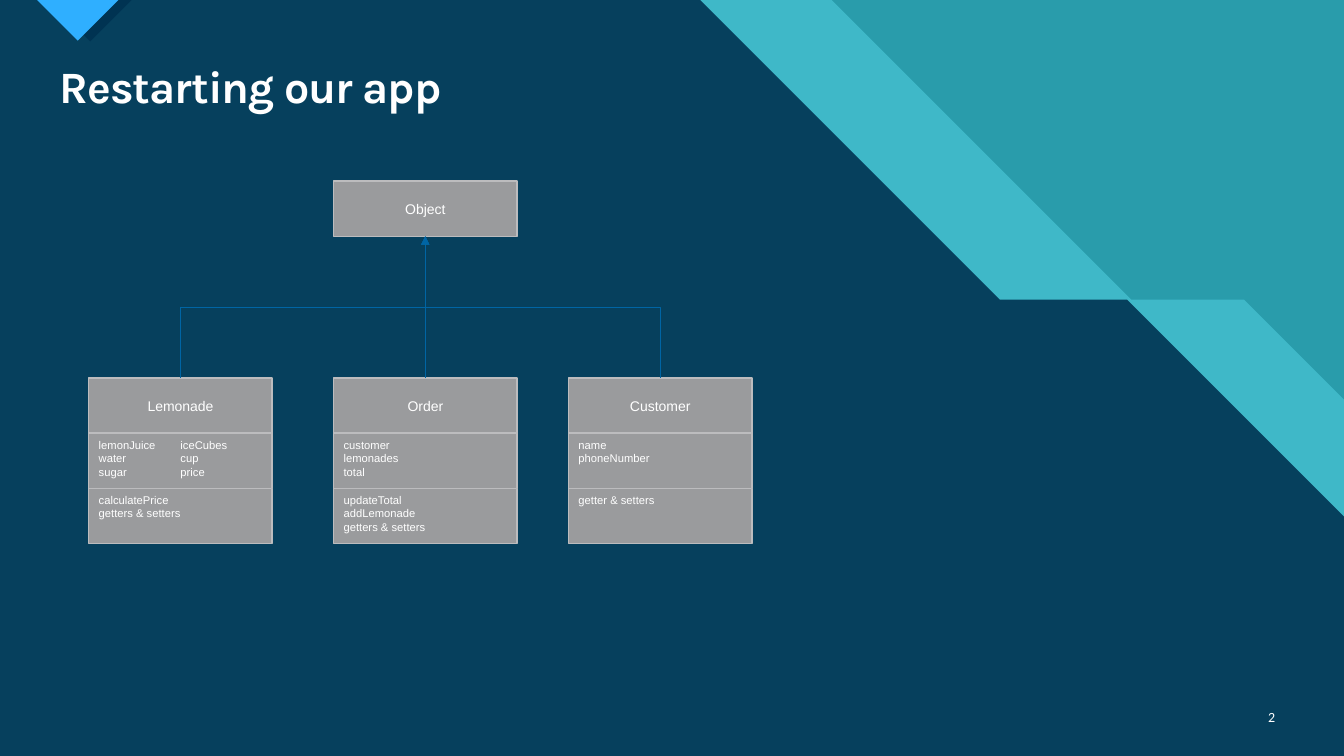
import pptx
import pptx.dml.color
import pptx.enum.dml
import pptx.enum.shapes
import pptx.enum.text
import pptx.oxml
import pptx.oxml.ns
import pptx.util

Pt = pptx.util.Pt
RGBColor = pptx.dml.color.RGBColor
ALIGN = pptx.enum.text.PP_ALIGN
ANCHOR = pptx.enum.text.MSO_ANCHOR

WHITE = RGBColor(0xFF, 0xFF, 0xFF)
TEAL = RGBColor(0x29, 0x9C, 0xAB)
LIGHT_TEAL = RGBColor(0x47, 0xC3, 0xD3)
NAVY = RGBColor(0x00, 0x33, 0x52)
SKY = RGBColor(0x2F, 0xAF, 0xFF)
GREY = RGBColor(0x9A, 0x9B, 0x9D)
LIGHT_GREY = RGBColor(0xBC, 0xBC, 0xBE)
BLUE = RGBColor(0x00, 0x65, 0xA4)

WIDTH, HEIGHT = 960, 540
BOX_WIDTH, BOX_HEIGHT = 131, 39.4
PARENT_TOP, CHILD_TOP = 129.4, 270

# Fill colour, opacity in percent, outline points
BACKDROP = [
    (LIGHT_TEAL, 74, [(0, 0), (594, 0), (808, 214), (888.5, 214),
                      (WIDTH, 285.5), (WIDTH, HEIGHT), (0, HEIGHT)]),
    (NAVY, 90, [(0, 0), (500, 0), (714, 214), (805, 214),
                (WIDTH, 369), (WIDTH, HEIGHT), (0, HEIGHT)]),
    (NAVY, 100, [(94, 0), (64.5, 29.5), (35, 0)]),
    (SKY, 100, [(26.5, 0), (55.5, 29), (84.5, 0)]),
]

# Left edge, name, fields, methods, columns of the field list
PARENT_LEFT = 238.3
CLASSES = [
    (63.4, "Lemonade", ["lemonJuice", "water", "sugar", "iceCubes", "cup", "price"],
     ["calculatePrice", "getters & setters"], 2),
    (PARENT_LEFT, "Order", ["customer", "lemonades", "total"],
     ["updateTotal", "addLemonade", "getters & setters"], 1),
    (406.1, "Customer", ["name", "phoneNumber"], ["getter & setters"], 1),
]


def apply_format(target, values):
    for name, value in values.items():
        setattr(target, name, value)


def write_text(shape, lines, font, align=ALIGN.LEFT, anchor=ANCHOR.TOP):
    frame = shape.text_frame
    apply_format(frame, {"word_wrap": True, "vertical_anchor": anchor})
    frame.text = "\n".join(lines)
    for paragraph in frame.paragraphs:
        paragraph.alignment = align
        run_font = paragraph.runs[0].font
        apply_format(run_font, {key: value for key, value in font.items() if key != "color"})
        run_font.color.rgb = font["color"]


def add_backdrop_shape(slide, color, opacity, points):
    outline = [(Pt(x), Pt(y)) for x, y in points]
    builder = slide.shapes.build_freeform(*outline[0])
    builder.add_line_segments(outline[1:], close=True)
    shape = builder.convert_to_shape()
    shape.shadow.inherit = False
    shape.line.fill.background()
    shape.fill.solid()
    shape.fill.fore_color.rgb = color
    if opacity < 100:
        color_element = shape.element.spPr.find(".//" + pptx.oxml.ns.qn("a:srgbClr"))
        alpha = pptx.oxml.parse_xml(
            f'<a:alpha {pptx.oxml.ns.nsdecls("a")} val="{opacity * 1000}"/>')
        color_element.append(alpha)


def add_title(slide, text):
    title = slide.shapes.title
    apply_format(title, {"left": Pt(35.3), "top": Pt(42.5),
                         "width": Pt(502.5), "height": Pt(42.5)})
    write_text(title, [text],
               {"name": "Karla", "size": Pt(32), "bold": True, "color": WHITE},
               anchor=ANCHOR.MIDDLE)
    title.text_frame.auto_size = pptx.enum.text.MSO_AUTO_SIZE.SHAPE_TO_FIT_TEXT
    paragraph = title.text_frame.paragraphs[0]
    paragraph.line_spacing = 0.9
    paragraph.runs[0].font._element.set("spc", "-70")


def add_slide_number(slide, number):
    box = slide.shapes.add_textbox(Pt(886.3), Pt(497.5), Pt(31.7), Pt(28.8))
    write_text(box, [number], {"name": "Calibri", "size": Pt(10), "color": WHITE},
               ALIGN.RIGHT, ANCHOR.MIDDLE)


def add_box(slide, left, top, lines, size=8, columns=1, **placing):
    box = slide.shapes.add_shape(pptx.enum.shapes.MSO_SHAPE.RECTANGLE,
                                 Pt(left), Pt(top), Pt(BOX_WIDTH), Pt(BOX_HEIGHT))
    box.shadow.inherit = False
    box.fill.solid()
    box.fill.fore_color.rgb = GREY
    box.line.color.rgb = LIGHT_GREY
    box.line.width = Pt(1)
    write_text(box, lines, {"name": "Arial", "size": Pt(size), "color": WHITE}, **placing)
    if columns > 1:
        box.text_frame._txBody.bodyPr.set("numCol", str(columns))


def add_name_box(slide, left, top, name):
    add_box(slide, left, top, [name], size=10, align=ALIGN.CENTER, anchor=ANCHOR.MIDDLE)


def add_class(slide, left, name, fields, methods, columns):
    add_name_box(slide, left, CHILD_TOP, name)
    add_box(slide, left, CHILD_TOP + BOX_HEIGHT, fields, columns=columns)
    add_box(slide, left, CHILD_TOP + 2 * BOX_HEIGHT, methods)


def add_inheritance_arrow(slide, child_left):
    """Elbow that leaves the child upwards: laid out sideways, then turned by 270 degrees."""
    parent_bottom = PARENT_TOP + BOX_HEIGHT
    center_x = (child_left + PARENT_LEFT + BOX_WIDTH) / 2
    center_y = (CHILD_TOP + parent_bottom) / 2
    half_rise = (CHILD_TOP - parent_bottom) / 2
    half_shift = (child_left - PARENT_LEFT) / 2
    connector = slide.shapes.add_connector(
        pptx.enum.shapes.MSO_CONNECTOR.ELBOW,
        Pt(center_x - half_rise), Pt(center_y + half_shift),
        Pt(center_x + half_rise), Pt(center_y - half_shift))
    connector.line.color.rgb = BLUE
    connector.line.width = Pt(0.5)
    properties = connector.element.spPr
    properties.xfrm.set("rot", str(270 * 60000))
    namespace = pptx.oxml.ns.nsdecls("a")
    connector.line._ln.append(pptx.oxml.parse_xml(f'<a:tailEnd {namespace} type="triangle"/>'))
    properties.append(pptx.oxml.parse_xml(f"<a:effectLst {namespace}/>"))


def main():
    presentation = pptx.Presentation()
    apply_format(presentation, {"slide_width": Pt(WIDTH), "slide_height": Pt(HEIGHT)})
    slide = presentation.slides.add_slide(presentation.slide_layouts[5])
    slide.background.fill.solid()
    slide.background.fill.fore_color.rgb = TEAL

    for color, opacity, points in BACKDROP:
        add_backdrop_shape(slide, color, opacity, points)
    add_title(slide, "Restarting our app")
    # The title was created first; bring it in front of the backdrop.
    slide.shapes.element.append(slide.shapes.title.element)
    add_slide_number(slide, "2")

    for left, name, fields, methods, columns in CLASSES:
        add_class(slide, left, name, fields, methods, columns)
    add_name_box(slide, PARENT_LEFT, PARENT_TOP, "Object")
    for left, *_ in CLASSES:
        add_inheritance_arrow(slide, left)

    presentation.save("out.pptx")


if __name__ == "__main__":
    main()
